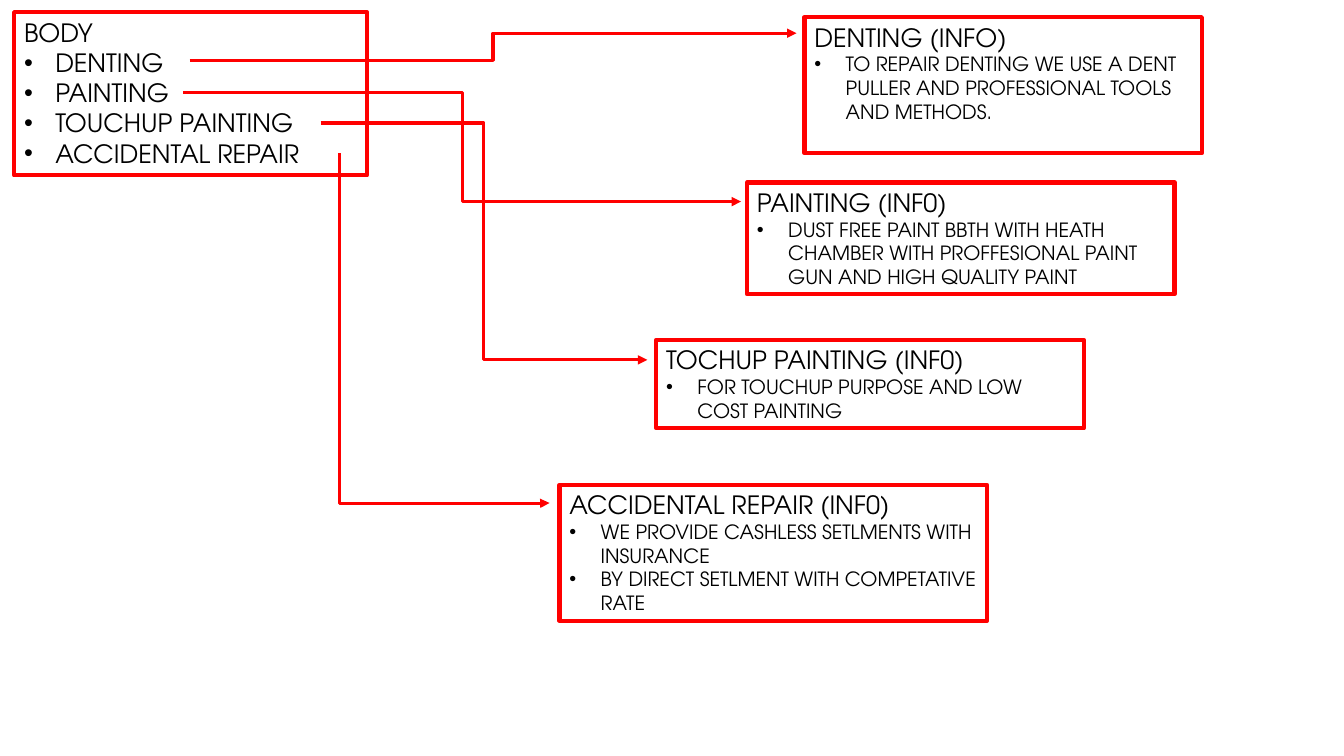
from dataclasses import dataclass

from lxml.etree import SubElement
from pptx import Presentation
from pptx.dml.color import RGBColor
from pptx.enum.shapes import MSO_CONNECTOR
from pptx.enum.text import MSO_ANCHOR, MSO_AUTO_SIZE
from pptx.oxml.ns import qn
from pptx.slide import Slide
from pptx.util import Inches, Pt

COLORS = {"red": "FF0000", "black": "000000"}
FRAME_FORMAT = {
    "word_wrap": True,
    "auto_size": MSO_AUTO_SIZE.NONE,
    "vertical_anchor": MSO_ANCHOR.TOP,
}
FONT_FORMAT = {"name": "TeX Gyre Adventor", "bold": False}
HEADING_SIZE = 18
INDENT = Inches(0.31)


@dataclass(frozen=True)
class Panel:
    left: float
    top: float
    width: float
    height: float
    heading: str
    bullets: tuple[str, ...]
    bullet_size: int = 14


@dataclass(frozen=True)
class Arrow:
    start: tuple[float, float]
    end: tuple[float, float]
    down_first: bool = False


PANELS = (
    Panel(0.14, 0.12, 3.5, 1.62, "BODY",
          ("DENTING", "PAINTING", "TOUCHUP PAINTING", "ACCIDENTAL REPAIR"),
          HEADING_SIZE),
    Panel(7.98, 0.17, 3.94, 1.35, "DENTING (INFO)",
          ("TO REPAIR DENTING WE USE A DENT PULLER AND PROFESSIONAL TOOLS AND METHODS.",)),
    Panel(7.41, 1.81, 4.24, 1.11, "PAINTING (INF0)",
          ("DUST FREE PAINT BBTH WITH HEATH CHAMBER WITH PROFFESIONAL PAINT GUN "
           "AND HIGH QUALITY PAINT",)),
    Panel(6.51, 3.37, 4.24, 0.88, "TOCHUP PAINTING (INF0)",
          ("FOR TOUCHUP PURPOSE AND LOW COST PAINTING",)),
    Panel(5.55, 4.81, 4.24, 1.35, "ACCIDENTAL REPAIR (INF0)",
          ("WE PROVIDE CASHLESS SETLMENTS WITH INSURANCE",
           "BY DIRECT SETLMENT WITH COMPETATIVE RATE")),
)

ARROWS = (
    Arrow((1.88, 0.6), (7.9, 0.33)),
    Arrow((1.82, 0.92), (7.35, 2)),
    Arrow((3.18, 1.22), (6.42, 3.57)),
    Arrow((3.37, 1.52), (5.45, 4.99), down_first=True),
)


def draw_panel(page: Slide, panel: Panel) -> None:
    box = page.shapes.add_textbox(
        Inches(panel.left), Inches(panel.top), Inches(panel.width), Inches(panel.height))
    box.line.color.rgb = RGBColor.from_string(COLORS["red"])
    box.line.width = Pt(3)
    frame = box.text_frame
    for key, value in FRAME_FORMAT.items():
        setattr(frame, key, value)
    for index, text in enumerate((panel.heading, *panel.bullets)):
        para = frame.add_paragraph() if index else frame.paragraphs[0]
        if index:
            properties = para._p.get_or_add_pPr()
            properties.set("marL", str(INDENT))
            properties.set("indent", str(-INDENT))
            SubElement(properties, qn("a:buFont"), typeface="Arial")
            SubElement(properties, qn("a:buChar"), char="•")
        span = para.add_run()
        span.text = text
        for key, value in FONT_FORMAT.items():
            setattr(span.font, key, value)
        span.font.size = Pt(panel.bullet_size if index else HEADING_SIZE)
        span.font.color.rgb = RGBColor.from_string(COLORS["black"])


def draw_arrow(page: Slide, arrow: Arrow) -> None:
    (left, top), (right, bottom) = arrow.start, arrow.end
    ends = (left, top, right, bottom)
    if arrow.down_first:
        middle_x, middle_y = (left + right) / 2, (top + bottom) / 2
        half_width, half_height = (bottom - top) / 2, (right - left) / 2
        ends = (middle_x + half_width, middle_y - half_height,
                middle_x - half_width, middle_y + half_height)
    connector = page.shapes.add_connector(MSO_CONNECTOR.ELBOW, *map(Inches, ends))
    connector.line.color.rgb = RGBColor.from_string(COLORS["red"])
    connector.line.width = Pt(2.25)
    properties = connector.element.spPr
    if arrow.down_first:
        properties.find(qn("a:xfrm")).set("rot", "16200000")
        adjustments = properties.find(qn("a:prstGeom")).find(qn("a:avLst"))
        SubElement(adjustments, qn("a:gd"), name="adj1", fmla="val 100100")
    SubElement(properties.find(qn("a:ln")), qn("a:tailEnd"), type="triangle")
    SubElement(properties, qn("a:effectLst"))


def main() -> None:
    deck = Presentation()
    deck.slide_width, deck.slide_height = Inches(13.33), Inches(7.5)
    page = deck.slides.add_slide(deck.slide_layouts[6])
    for panel in PANELS:
        draw_panel(page, panel)
    for arrow in ARROWS:
        draw_arrow(page, arrow)
    deck.save("out.pptx")


if __name__ == "__main__":
    main()
